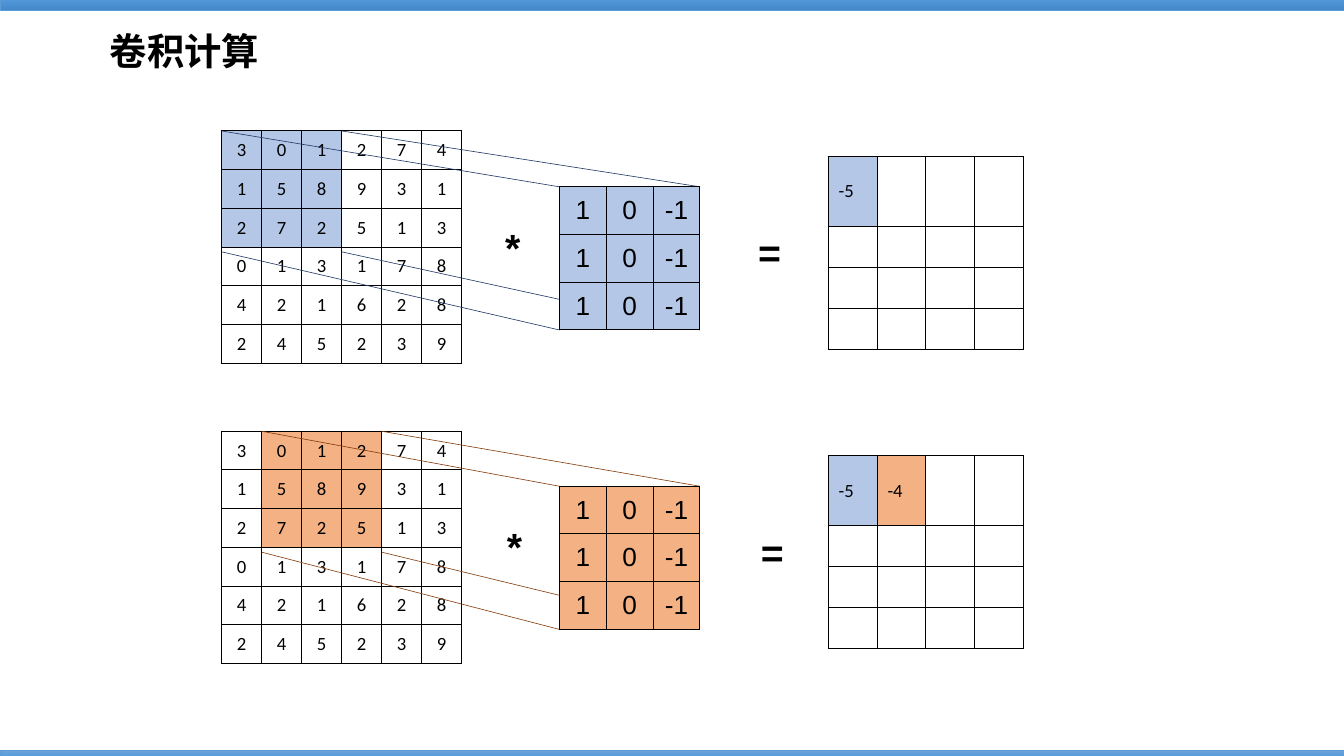
from dataclasses import dataclass

from pptx import Presentation
from pptx import util as u
from pptx.dml.color import RGBColor
from pptx.enum import shapes, text
from pptx.oxml import parse_xml
from pptx.oxml.ns import nsdecls, qn

BLACK = RGBColor(0x00, 0x00, 0x00)
BLUE = RGBColor(0xB4, 0xC7, 0xE7)
ORANGE = RGBColor(0xF4, 0xB1, 0x83)
NAVY = RGBColor(0x20, 0x38, 0x64)
BROWN = RGBColor(0x84, 0x3C, 0x0B)
BAR_LINE = RGBColor(0x5B, 0x9B, 0xD5)
BAR_STOPS = ((0, RGBColor(0x71, 0xA6, 0xDB)), (50, RGBColor(0x55, 0x9B, 0xDB)),
             (100, RGBColor(0x44, 0x8A, 0xCA)))

INPUT = ["301274".join(("", "")) or "301274", "158931", "272513",
         "013178", "421628", "245239"]
INPUT[0] = "301274"
KERNEL = [["1", "0", "-1"]] * 3
WINDOW = len(KERNEL)

# Columns of the layout, shared by both steps
INPUT_X, INPUT_W, INPUT_H = 2.54, 2.75, 2.66
KERNEL_X, KERNEL_W, KERNEL_H = 6.41, 1.61, 1.64
OUTPUT_X, OUTPUT_W = 9.49, 2.24
OUTPUT_ROWS = [0.8, 0.47, 0.47, 0.47]


@dataclass
class Step:
    """One position of the sliding window."""
    input_y: float
    kernel_y: float
    output_y: float
    column: int
    fill: RGBColor
    line: RGBColor
    results: list[tuple[str, RGBColor]]
    times: tuple[float, float]
    equals: tuple[float, float]


STEPS = [
    Step(1.5, 2.14, 1.79, 0, BLUE, NAVY, [("-5", BLUE)],
         (5.6, 2.37), (8.5, 2.43)),
    Step(4.94, 5.57, 5.22, 1, ORANGE, BROWN, [("-5", BLUE), ("-4", ORANGE)],
         (5.62, 5.79), (8.53, 5.86)),
]


def set_font(p, name: str, size: float, bold: bool = False) -> None:
    p.font.name = name
    p.font.size = u.Pt(size)
    p.font.bold = bold
    p.font.color.rgb = BLACK


def set_margins(box) -> None:
    box.margin_left = box.margin_right = u.Inches(0.12)
    box.margin_top = box.margin_bottom = u.Inches(0.06)
    box.vertical_anchor = text.MSO_ANCHOR.MIDDLE


def add_borders(cell) -> None:
    tc_pr = cell._tc.get_or_add_tcPr()
    for i, side in enumerate("LRTB"):
        tc_pr.insert(i, parse_xml(
            f'<a:ln{side} {nsdecls("a")} w="12700"><a:solidFill>'
            f'<a:srgbClr val="{BLACK}"/></a:solidFill></a:ln{side}>'))


def add_grid(s, x: float, y: float, w: float, row_heights: list[float], values,
             fills: dict[tuple[int, int], RGBColor], font: str, size: float,
             align=text.PP_ALIGN.CENTER) -> None:
    n_cols = len(values[0])
    frame = s.shapes.add_table(len(values), n_cols, u.Inches(x), u.Inches(y),
                               u.Inches(w), u.Inches(sum(row_heights)))
    table = frame.table
    table.first_row = table.horz_banding = False
    for column in table.columns:
        column.width = u.Inches(w / n_cols)
    for r, height in enumerate(row_heights):
        table.rows[r].height = u.Inches(height)
        for c, value in enumerate(values[r]):
            cell = table.cell(r, c)
            set_margins(cell)
            if (r, c) in fills:
                cell.fill.solid()
                cell.fill.fore_color.rgb = fills[r, c]
            else:
                cell.fill.background()
            add_borders(cell)
            if value:
                p = cell.text_frame.paragraphs[0]
                p.text = value
                p.alignment = align
                set_font(p, font, size)


def add_operator(s, sign: str, at: tuple[float, float]) -> None:
    sp = s.shapes.add_shape(shapes.MSO_SHAPE.MATH_MULTIPLY, u.Inches(at[0]),
                            u.Inches(at[1]), u.Inches(0.5), u.Inches(0.92))
    sp.shadow.inherit = False
    sp.fill.background()
    sp.line.fill.background()
    set_margins(sp.text_frame)
    p = sp.text_frame.paragraphs[0]
    p.text = sign
    p.alignment = text.PP_ALIGN.CENTER
    set_font(p, "Arial", 32.4, True)


def add_line(s, start: tuple[float, float], end: tuple[float, float],
             color: RGBColor) -> None:
    line = s.shapes.add_connector(shapes.MSO_CONNECTOR.STRAIGHT,
                                  *map(u.Inches, start + end))
    line.line.color.rgb = color
    line.line.width = u.Pt(0.5)
    line._element.spPr.append(parse_xml(f'<a:effectLst {nsdecls("a")}/>'))


def add_bar(s, y: float, h: float) -> None:
    sp = s.shapes.add_shape(shapes.MSO_SHAPE.RECTANGLE, 0, u.Inches(y),
                            u.Inches(15.4), u.Inches(h))
    sp.shadow.inherit = False
    stops = "".join(f'<a:gs pos="{pos * 1000}"><a:srgbClr val="{color}"/></a:gs>'
                    for pos, color in BAR_STOPS)
    sp._element.spPr.find(qn("a:prstGeom")).addnext(parse_xml(
        f'<a:gradFill {nsdecls("a")}><a:gsLst>{stops}</a:gsLst>'
        '<a:lin ang="5400000" scaled="0"/></a:gradFill>'))
    sp.line.color.rgb = BAR_LINE
    sp.line.width = u.Pt(0.5)


def add_step(s, step: Step) -> None:
    # Input with the highlighted window
    cell_w, cell_h = INPUT_W / len(INPUT[0]), INPUT_H / len(INPUT)
    window = {(r, step.column + c): step.fill
              for r in range(WINDOW) for c in range(WINDOW)}
    add_grid(s, INPUT_X, step.input_y, INPUT_W, [cell_h] * len(INPUT), INPUT,
             window, "Calibri", 15.4)

    # Output with the results so far
    values = [[""] * 4 for _ in OUTPUT_ROWS]
    fills = {}
    for c, (value, color) in enumerate(step.results):
        values[0][c] = value
        fills[0, c] = color
    add_grid(s, OUTPUT_X, step.output_y, OUTPUT_W, OUTPUT_ROWS, values, fills,
             "Calibri", 15.4, text.PP_ALIGN.LEFT)

    # Lines from the window corners to the kernel corners
    left = INPUT_X + step.column * cell_w
    for from_y, to_y in ((step.input_y, step.kernel_y),
                         (step.input_y + 1.385, step.kernel_y + KERNEL_H)):
        for from_x, to_x in ((left, KERNEL_X),
                             (left + WINDOW * cell_w, KERNEL_X + KERNEL_W)):
            add_line(s, (from_x, from_y), (to_x, to_y), step.line)

    # Kernel, covering the line ends
    kernel_fills = {(r, c): step.fill for r in range(WINDOW) for c in range(WINDOW)}
    add_grid(s, KERNEL_X, step.kernel_y, KERNEL_W, [KERNEL_H / WINDOW] * WINDOW,
             KERNEL, kernel_fills, "Arial", 21.6)

    add_operator(s, "*", step.times)
    add_operator(s, "=", step.equals)


def main() -> None:
    prs = Presentation()
    prs.slide_width, prs.slide_height = u.Inches(15.4), u.Inches(8.66)
    s = prs.slides.add_slide(prs.slide_layouts[6])

    # Title
    tf = s.shapes.add_textbox(u.Inches(1.16), u.Inches(0.27),
                              u.Inches(4.3), u.Inches(0.62)).text_frame
    tf.word_wrap = True
    p = tf.paragraphs[0]
    p.text = "卷积计算"
    set_font(p, "Calibri", 30.8, True)

    for step in STEPS:
        add_step(s, step)

    # Top and bottom bars
    add_bar(s, -0.18, 0.3)
    add_bar(s, 8.59, 0.14)

    prs.save("out.pptx")


if __name__ == "__main__":
    main()
